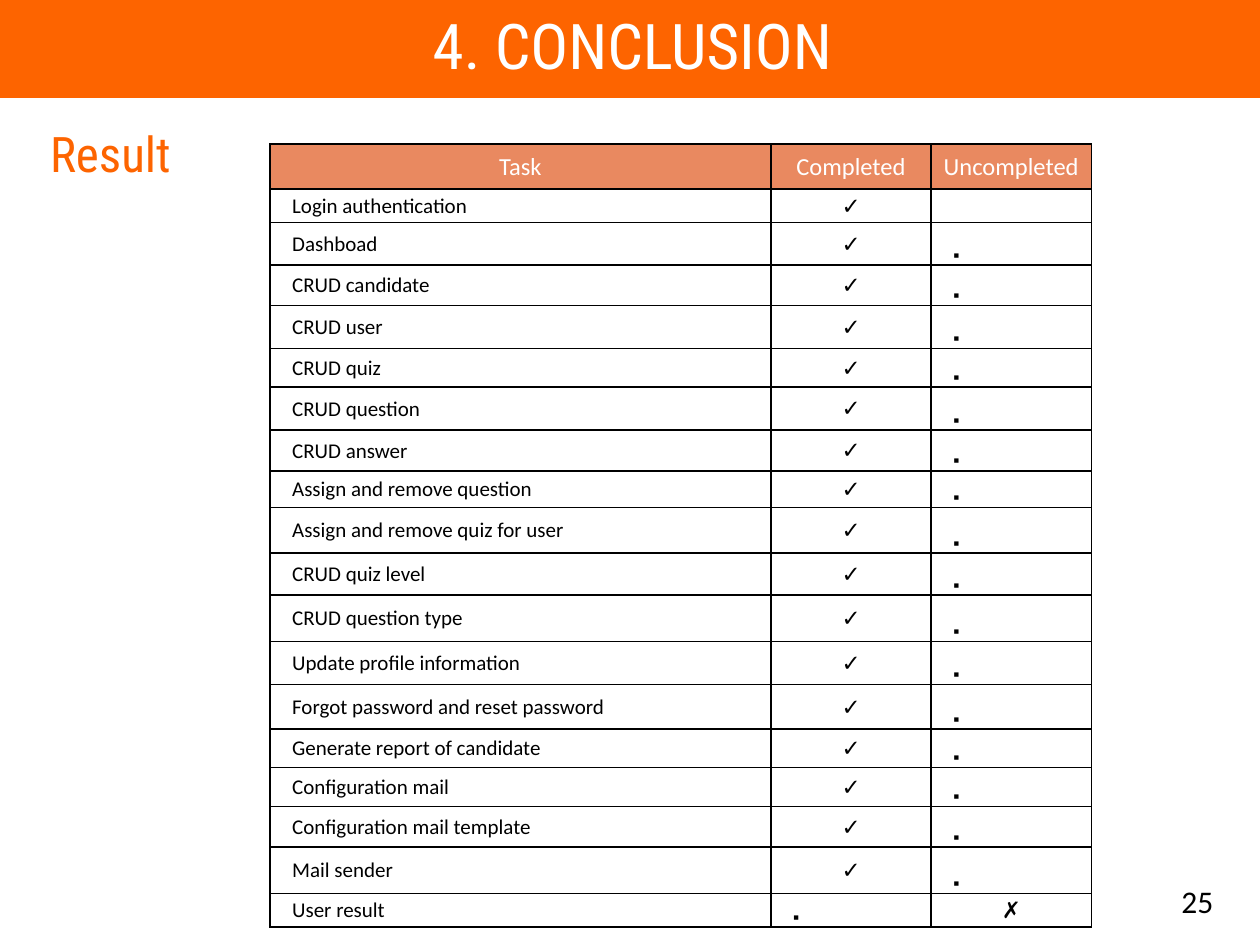
from lxml import etree
from pptx import Presentation
from pptx.dml.color import RGBColor
from pptx.enum import shapes, text
from pptx.oxml import ns
from pptx.util import Cm, Pt

ORANGE, SALMON, WHITE, BLACK = "FD6400", "E98960", "FFFFFF", "000000"
HEAD = "Roboto Condensed"
LEFT, MID, RIGHT = text.PP_ALIGN.LEFT, text.PP_ALIGN.CENTER, text.PP_ALIGN.RIGHT
TOP, CORE, BASE = (text.MSO_ANCHOR.TOP, text.MSO_ANCHOR.MIDDLE,
                   text.MSO_ANCHOR.BOTTOM)
DONE, OPEN, DOT = "✓", "✗", "▪"
TASKS = [
    ("Login authentication", 0.68), ("Dashboad", 0.85),
    ("CRUD candidate", 0.82), ("CRUD user", 0.87), ("CRUD quiz", 0.77),
    ("CRUD question", 0.87), ("CRUD answer", 0.82),
    ("Assign and remove question", 0.74),
    ("Assign and remove quiz for user", 0.92), ("CRUD quiz level", 0.84),
    ("CRUD question type", 0.94), ("Update profile information", 0.87),
    ("Forgot password and reset password", 0.9),
    ("Generate report of candidate", 0.77), ("Configuration mail", 0.79),
    ("Configuration mail template", 0.81), ("Mail sender", 0.94),
    ("User result", 0.68),
]


def color(code):
    """Turn a hex string into a colour."""
    return RGBColor.from_string(code)


def style(para, size, font, code, align=LEFT):
    """Format a paragraph and its runs."""
    para.alignment = align
    for run in para.runs:
        run.font.size = Pt(size)
        run.font.name = font
        run.font.color.rgb = color(code)


def label(shape, box, words, size, font, code, align=LEFT, anchor=CORE):
    """Place a text shape and fill it with one styled line."""
    shape.left, shape.top, shape.width, shape.height = map(Cm, box)
    frame = shape.text_frame
    frame.word_wrap = True
    frame.auto_size = text.MSO_AUTO_SIZE.NONE
    frame.vertical_anchor = anchor
    frame.text = words
    style(frame.paragraphs[0], size, font, code, align)
    return frame.paragraphs[0]


def band(slide):
    """Draw the title band behind everything else."""
    bar = slide.shapes.add_shape(shapes.MSO_SHAPE.RECTANGLE,
                                 0, Cm(-0.02), Cm(25.4), Cm(1.98))
    bar.shadow.inherit = False
    bar.fill.solid()
    bar.fill.fore_color.rgb = color(ORANGE)
    bar.line.color.rgb = color(ORANGE)
    bar.line.width = Pt(1)
    slide.shapes._spTree.insert(2, bar._element)


def border(cell):
    """Give a cell thin black edges."""
    props = cell._tc.get_or_add_tcPr()
    for side in ("a:lnL", "a:lnR", "a:lnT", "a:lnB"):
        line = etree.SubElement(props, ns.qn(side), w=str(Pt(1)))
        fill = etree.SubElement(line, ns.qn("a:solidFill"))
        etree.SubElement(fill, ns.qn("a:srgbClr"), val=BLACK)


def write(cell, words, size, font="Calibri", code=BLACK, fill=WHITE,
          align=MID, anchor=CORE):
    """Fill and format one table cell."""
    border(cell)
    cell.fill.solid()
    cell.fill.fore_color.rgb = color(fill)
    cell.margin_left = Cm(0.45 if align == LEFT else 0.02)
    cell.margin_right = cell.margin_top = Cm(0.02)
    cell.margin_bottom = 0
    cell.vertical_anchor = anchor
    cell.text = words
    para = cell.text_frame.paragraphs[0]
    style(para, size, font, code, align)
    if not words:
        para._p.get_or_add_endParaRPr().set("sz", str(size * 100))


def mark(cell, sign):
    """Write a tick, a cross, a dot or nothing."""
    if sign in (DONE, OPEN):
        write(cell, sign, 13, "Arial")
    else:
        write(cell, sign, 10, "Arial", align=LEFT, anchor=BASE)


def signs(row):
    """Return the two marks of a task row."""
    if row == len(TASKS):
        return DOT, OPEN
    return DONE, DOT if row > 1 else ""


def grid(slide):
    """Add the table of tasks."""
    table = slide.shapes.add_table(len(TASKS) + 1, 3, Cm(5.44), Cm(2.9),
                                   Cm(16.56), Cm(15.77)).table
    for col, wide in zip(table.columns, (10.1, 3.23, 3.23)):
        col.width = Cm(wide)
    table.rows[0].height = Cm(0.91)
    for col, name in enumerate(("Task", "Completed", "Uncompleted")):
        write(table.cell(0, col), name, 14, code=WHITE, fill=SALMON)
    for row, (task, high) in enumerate(TASKS, 1):
        table.rows[row].height = Cm(high)
        write(table.cell(row, 0), task, 12, align=LEFT)
        for col, sign in enumerate(signs(row), 1):
            mark(table.cell(row, col), sign)


def main():
    """Build and save the slide."""
    deck = Presentation()
    deck.slide_width, deck.slide_height = Cm(25.4), Cm(19.05)
    slide = deck.slides.add_slide(deck.slide_layouts[5])
    band(slide)
    title = label(slide.shapes.title, (0.76, 0, 23.98, 1.96),
                  "4. CONCLUSION", 36, HEAD, WHITE, MID)
    note = label(slide.shapes.add_textbox(0, 0, 0, 0),
                 (0.76, 2.49, 8.23, 1.3), "Result", 28, HEAD, ORANGE,
                 anchor=TOP)
    for para in (title, note):
        para.line_spacing = 0.9
    label(slide.shapes.add_textbox(0, 0, 0, 0), (17.93, 17.65, 6.78, 1.02),
          "25", 18, "Calibri", BLACK, RIGHT)
    grid(slide)
    deck.save("out.pptx")


if __name__ == "__main__":
    main()
